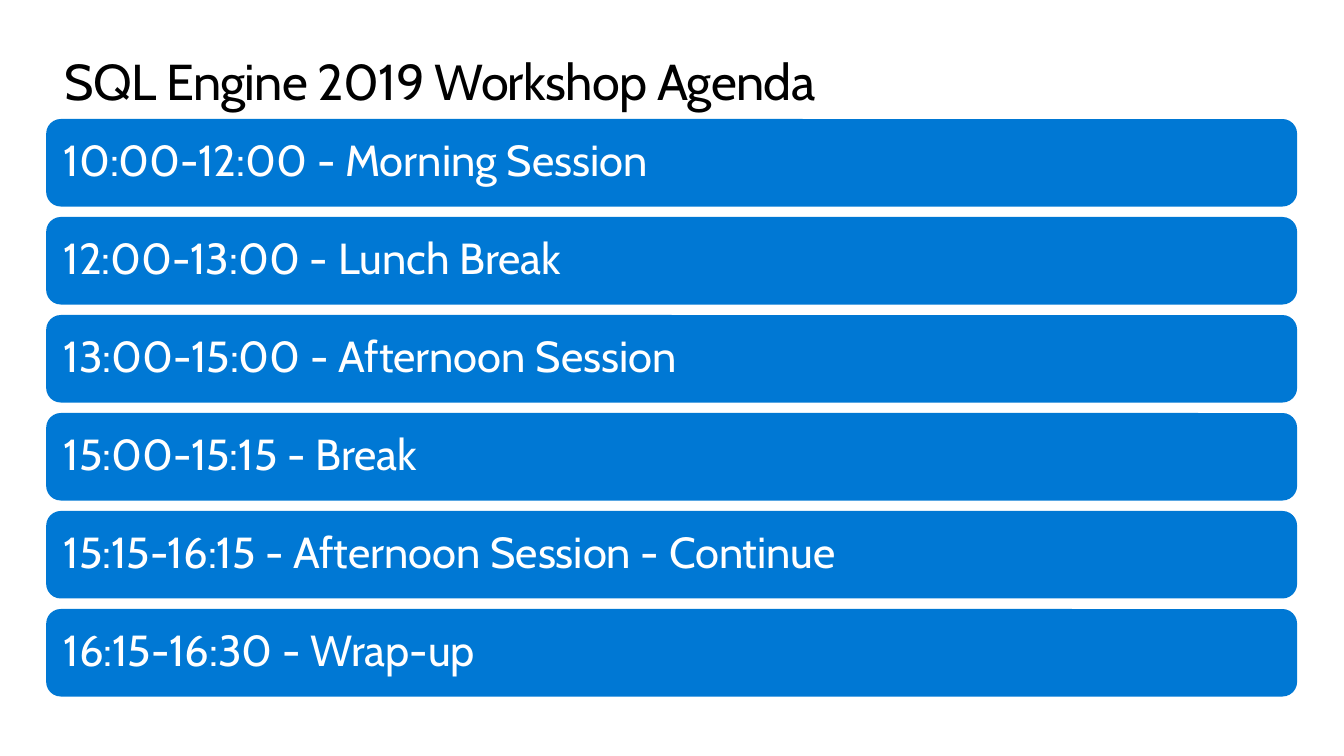
"""Build the workshop agenda slide."""
from pptx import Presentation
from pptx.dml.color import RGBColor
from pptx.enum.shapes import MSO_SHAPE
from pptx.enum.text import MSO_ANCHOR, PP_ALIGN
from pptx.util import Pt

PX = 6350
BLACK = RGBColor(0x00, 0x00, 0x00)
WHITE = RGBColor(0xFF, 0xFF, 0xFF)
BLUE = RGBColor(0x00, 0x78, 0xD4)
BAR_TOP, BAR_PITCH = 170, 140
SESSIONS = [
    "10:00-12:00 - Morning Session",
    "12:00-13:00 - Lunch Break",
    "13:00-15:00 - Afternoon Session",
    "15:00-15:15 - Break",
    "15:15-16:15 - Afternoon Session - Continue",
    "16:15-16:30 - Wrap-up",
]


def box(*lengths):
    return [n * PX for n in lengths]


def write(sp, text, size, color, inset, anchor):
    tf = sp.text_frame
    frame = {"word_wrap": True, "vertical_anchor": anchor}
    for side in ("left", "top", "right", "bottom"):
        frame[f"margin_{side}"] = inset * PX
    for name, value in frame.items():
        setattr(tf, name, value)
    p = tf.paragraphs[0]
    p.alignment = PP_ALIGN.LEFT
    p.line_spacing = 0.9
    r = p.add_run()
    r.text = text
    for name, value in {"name": "Cabin", "size": Pt(size)}.items():
        setattr(r.font, name, value)
    r.font.color.rgb = color
    return p, r


prs = Presentation()
prs.slide_width, prs.slide_height = box(1920, 1080)
s = prs.slides.add_slide(prs.slide_layouts[6])

title = s.shapes.add_textbox(*box(92, 72, 1735, 88))
p, r = write(title, "SQL Engine 2019 Workshop Agenda", 36, BLACK, 0, MSO_ANCHOR.TOP)
p.line_spacing = 1.0
r.font._element.set("spc", "-50")

for i, session in enumerate(SESSIONS):
    sp = s.shapes.add_shape(
        MSO_SHAPE.ROUNDED_RECTANGLE, *box(66, BAR_TOP + i * BAR_PITCH, 1787, 125)
    )
    sp.shadow.inherit = False
    sp.fill.solid()
    sp.fill.fore_color.rgb = BLUE
    sp.line.fill.background()
    write(sp, session, 31, WHITE, 19, MSO_ANCHOR.MIDDLE)

prs.save("out.pptx")
